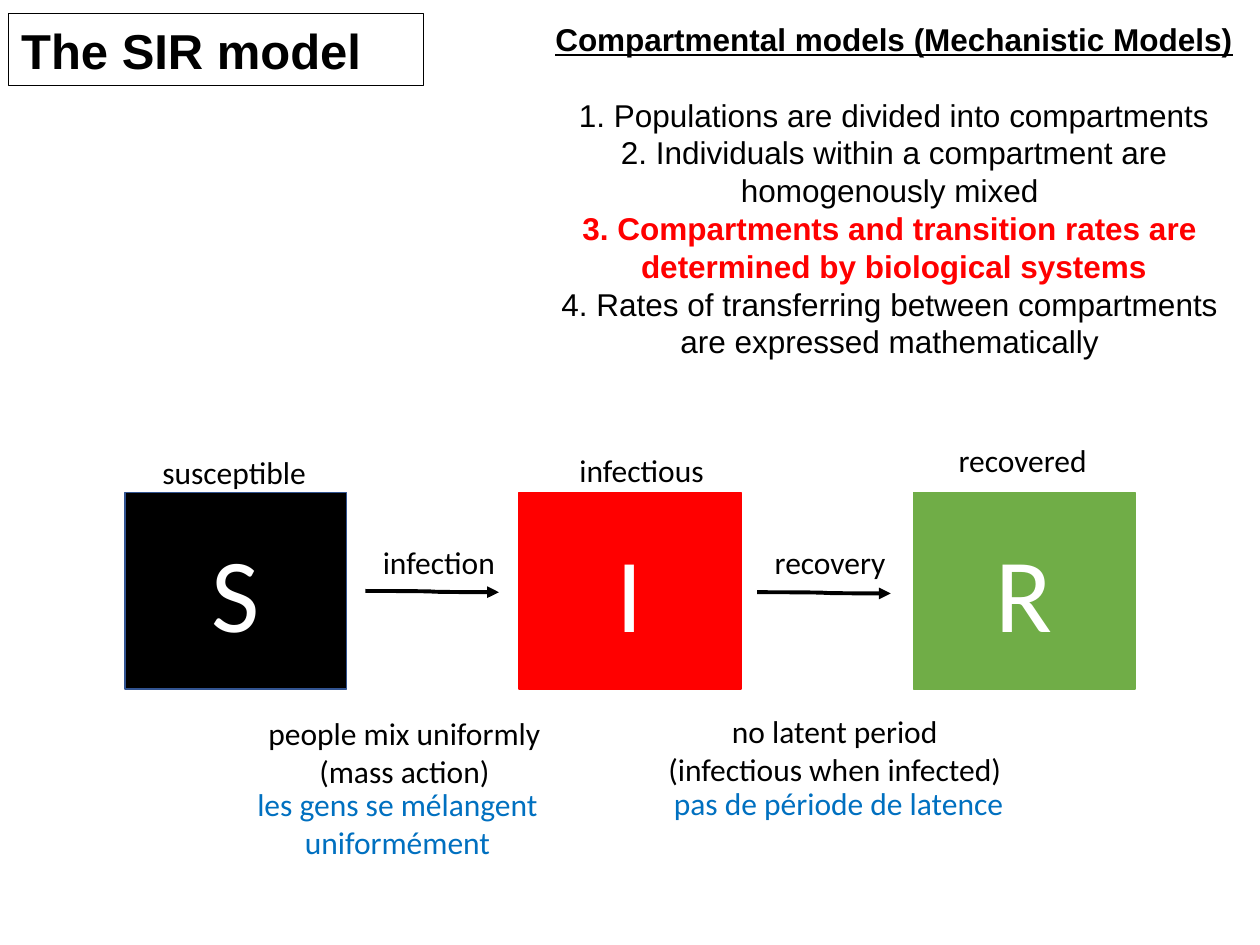
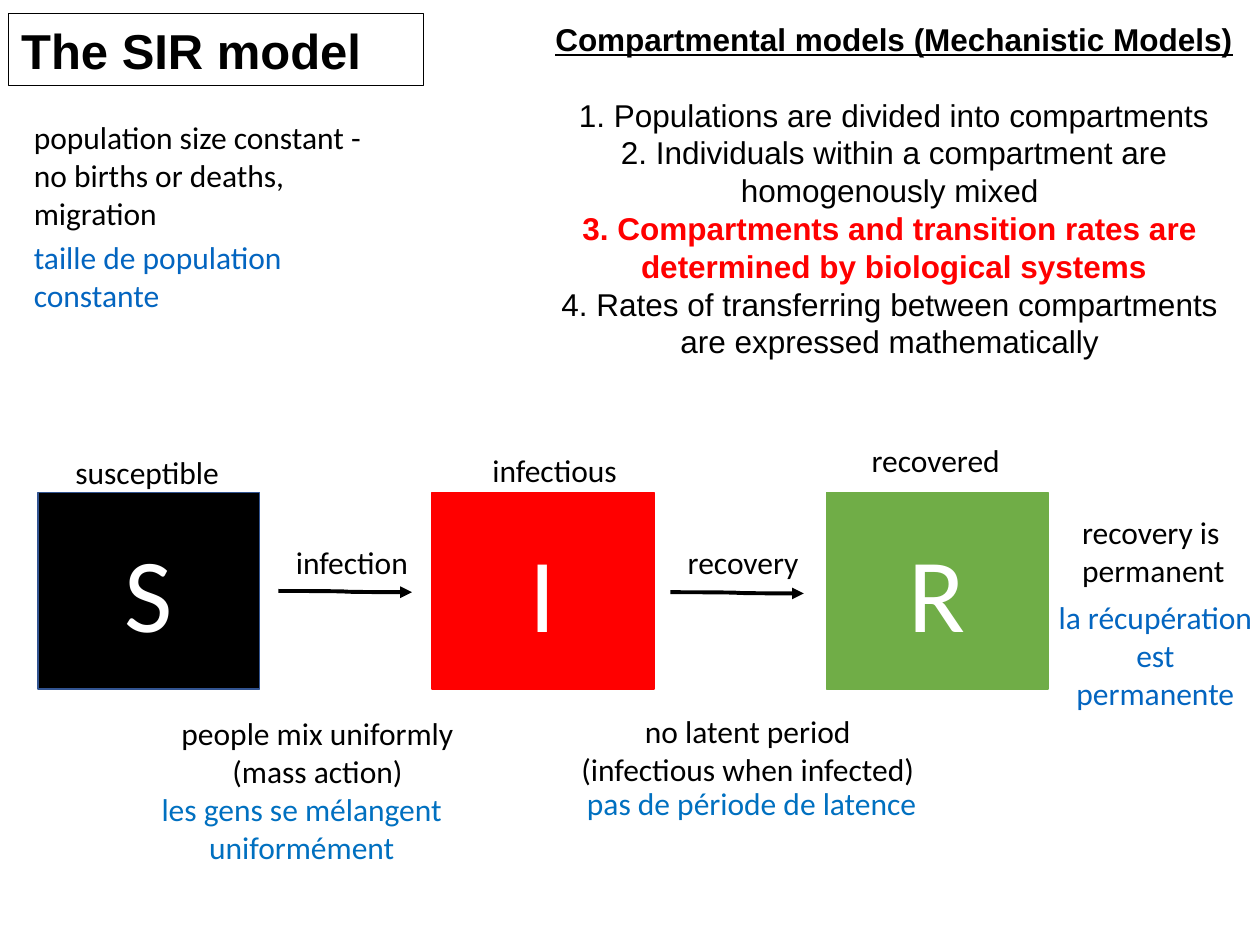
import pptx
import pptx.dml.color
import pptx.enum.shapes
import pptx.enum.text
import pptx.oxml.ns
import pptx.util
from lxml import etree

Inches = pptx.util.Inches
Pt = pptx.util.Pt
ALIGN = pptx.enum.text.PP_ALIGN

COLORS = {
    "black": "000000",
    "white": "FFFFFF",
    "red": "FF0000",
    "green": "70AD47",
    "outline": "325491",
    "blue": "0070C0",
    "assumption_blue": "0365C0",
}
BODY_SIZE = 18
COMPARTMENT_WIDTH, COMPARTMENT_HEIGHT, COMPARTMENT_STEP = 1.76, 1.56, 3.13
COMPARTMENTS = [
    ("S", "black", "outline"),
    ("I", "red", "red"),
    ("R", "green", "green"),
]
STATE_LABELS = [
    ("susceptible", 0.2, -0.36, 1.36),
    ("infectious", 3.51, -0.38, 1.2),
    ("recovered", 6.52, -0.46, 1.23),
]
TRANSITIONS = [
    ("infection", 1.95, 1.1, 1.91, 0.78),
    ("recovery", 5.06, 1.09, 5.02, 0.79),
]
PRINCIPLES = [
    ("1. Populations are divided into compartments", False),
    ("2. Individuals within a compartment are homogenously mixed ", False),
    ("3. Compartments and transition rates are ", True),
    ("determined by biological systems", True),
    ("4. Rates of transferring between compartments ", False),
    ("are expressed mathematically ", False),
]


def rgb(name):
    """Return the palette colour with the given name."""
    return pptx.dml.color.RGBColor.from_string(COLORS[name])


def style_paragraph(paragraph, text, color="black", size=BODY_SIZE, font="Calibri",
                    bold=False, align=ALIGN.LEFT):
    """Write one uniformly formatted paragraph."""
    paragraph.text = text
    paragraph.alignment = align
    paragraph.font.name = font
    paragraph.font.size = Pt(size)
    paragraph.font.bold = bold
    paragraph.font.color.rgb = rgb(color)


def add_text(slide, box, lines, wrap=True, **style):
    """Add a text box with one paragraph for each line."""
    shape = slide.shapes.add_textbox(*map(Inches, box))
    frame = shape.text_frame
    frame.word_wrap = wrap
    frame.auto_size = pptx.enum.text.MSO_AUTO_SIZE.SHAPE_TO_FIT_TEXT
    for index, line in enumerate(lines):
        paragraph = frame.add_paragraph() if index else frame.paragraphs[0]
        style_paragraph(paragraph, line, **style)
    return shape


def add_title(slide, box):
    """Add the outlined slide title."""
    shape = add_text(slide, box, ["The SIR model"], size=28, font="Arial", bold=True)
    shape.line.color.rgb = rgb("black")
    shape.line.width = Pt(0.75)


def add_principles(slide, box):
    """Add the underlined heading and the principles of compartmental models."""
    shape = add_text(slide, box, ["Compartmental models (Mechanistic Models)"],
                     font="Arial", bold=True, align=ALIGN.CENTER)
    heading = shape.text_frame.paragraphs[0]
    heading.font.underline = True
    heading.space_after = Pt(21.6)
    for text, highlighted in PRINCIPLES:
        style_paragraph(shape.text_frame.add_paragraph(), text,
                        color="red" if highlighted else "black", font="Arial",
                        bold=highlighted, align=ALIGN.CENTER)


def add_compartment(slide, box, letter, fill, outline):
    """Add one lettered compartment."""
    shape = slide.shapes.add_shape(pptx.enum.shapes.MSO_SHAPE.RECTANGLE, *map(Inches, box))
    shape.shadow.inherit = False
    shape.fill.solid()
    shape.fill.fore_color.rgb = rgb(fill)
    shape.line.color.rgb = rgb(outline)
    shape.line.width = Pt(1)
    shape.text_frame.vertical_anchor = pptx.enum.text.MSO_ANCHOR.MIDDLE
    style_paragraph(shape.text_frame.paragraphs[0], letter, "white", 60, align=ALIGN.CENTER)


def add_arrow(slide, left, top):
    """Add a curved transition arrow."""
    connector = slide.shapes.add_connector(
        pptx.enum.shapes.MSO_CONNECTOR.CURVE,
        Inches(left), Inches(top), Inches(left + 1.06), Inches(top + 0.01))
    connector.line.color.rgb = rgb("black")
    connector.line.width = Pt(2.25)
    etree.SubElement(connector.line._get_or_add_ln(),
                     pptx.oxml.ns.qn("a:tailEnd"), type="triangle")
    etree.SubElement(connector._element.spPr, pptx.oxml.ns.qn("a:effectLst"))


def add_flow(slide, left, top):
    """Add the compartments, their labels, transitions and notes."""
    for index, (letter, fill, outline) in enumerate(COMPARTMENTS):
        box = (left + index * COMPARTMENT_STEP, top, COMPARTMENT_WIDTH, COMPARTMENT_HEIGHT)
        add_compartment(slide, box, letter, fill, outline)
    for text, label_x, label_y, width in STATE_LABELS:
        add_text(slide, (left + label_x, top + label_y, width, 0.4), [text], wrap=False)
    for text, label_x, width, arrow_x, arrow_y in TRANSITIONS:
        add_arrow(slide, left + arrow_x, top + arrow_y)
        add_text(slide, (left + label_x, top + 0.35, width, 0.4), [text], wrap=False)
    add_text(slide, (left + 4.13, top + 1.69, 3.01, 0.71),
             ["no latent period", "(infectious when infected)"], align=ALIGN.CENTER)
    add_text(slide, (left + 0.97, top + 1.71, 2.5, 0.71),
             ["people mix uniformly (mass action)"], align=ALIGN.CENTER)
    add_text(slide, (left + 4.26, top + 2.26, 2.88, 0.4),
             ["pas de période de latence"], color="blue")


def add_population_assumption(slide, left, top):
    """Add the constant population assumption in both languages."""
    add_text(slide, (left, top, 3.01, 1.01),
             ["population size constant - no births or deaths, migration"])
    add_text(slide, (left, top + 0.95, 2.28, 0.71),
             ["taille de population constante"], color="assumption_blue")


def add_recovery_assumption(slide, left, top):
    """Add the permanent recovery assumption in both languages."""
    add_text(slide, (left + 0.2, top, 1.57, 0.71), ["recovery is permanent"])
    add_text(slide, (left, top + 0.68, 1.76, 1.01),
             ["la récupération est permanente"], color="assumption_blue", align=ALIGN.CENTER)


def add_model_slide(presentation, flow_left, mixing_left, mixing_top):
    """Add a slide with the title, principles and SIR flow."""
    slide = presentation.slides.add_slide(presentation.slide_layouts[6])
    add_flow(slide, flow_left, 3.91)
    add_principles(slide, (4.19, 0.11, 5.81, 2.83))
    add_title(slide, (0.07, 0.11, 3.29, 0.57))
    add_text(slide, (mixing_left, mixing_top, 3.79, 0.71),
             ["les gens se mélangent uniformément"], color="blue", align=ALIGN.CENTER)
    return slide


def main():
    """Build and save the presentation."""
    presentation = pptx.Presentation()
    presentation.slide_width = Inches(10)
    presentation.slide_height = Inches(7.5)
    add_model_slide(presentation, 0.99, 1.26, 6.18)
    assumptions_slide = add_model_slide(presentation, 0.3, 0.5, 6.22)
    add_population_assumption(assumptions_slide, 0.17, 0.89)
    add_recovery_assumption(assumptions_slide, 8.29, 4.02)
    presentation.save("out.pptx")


if __name__ == "__main__":
    main()
